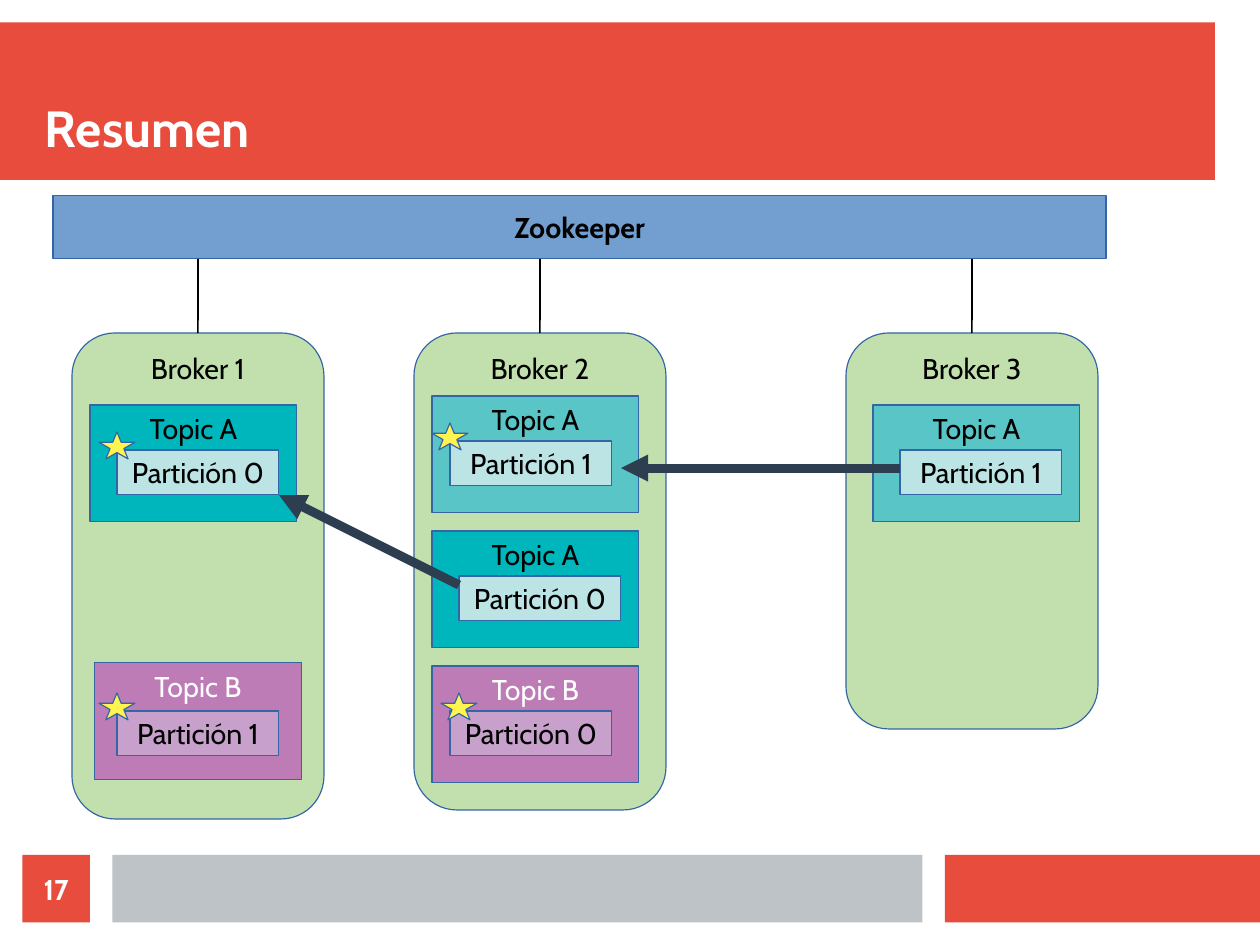
import pptx
import pptx.util
import pptx.dml.color
import pptx.enum.shapes
import pptx.enum.text
import pptx.oxml
import pptx.oxml.ns
from pptx.util import Cm

RGBColor = pptx.dml.color.RGBColor
Pt = pptx.util.Pt
KIND = pptx.enum.shapes.MSO_SHAPE
STRAIGHT = pptx.enum.shapes.MSO_CONNECTOR.STRAIGHT
ALIGN = pptx.enum.text.PP_ALIGN
ANCHOR = pptx.enum.text.MSO_ANCHOR

RED = RGBColor(0xE7, 0x4C, 0x3C)
GREY = RGBColor(0xBD, 0xC3, 0xC7)
BLUE = RGBColor(0x72, 0x9F, 0xCF)
OUTLINE = RGBColor(0x34, 0x65, 0xA4)
GREEN = RGBColor(0xC2, 0xE0, 0xAE)
TEAL = RGBColor(0x00, 0xB6, 0xBD)
LIGHT_TEAL = RGBColor(0x59, 0xC5, 0xC7)
PALE_TEAL = RGBColor(0xBC, 0xE4, 0xE5)
PURPLE = RGBColor(0xBD, 0x7C, 0xB5)
PALE_PURPLE = RGBColor(0xC7, 0xA0, 0xCB)
YELLOW = RGBColor(0xFF, 0xF4, 0x50)
NAVY = RGBColor(0x2C, 0x3E, 0x50)
BLACK = RGBColor(0, 0, 0)
WHITE = RGBColor(255, 255, 255)

deck = pptx.Presentation()
deck.slide_width, deck.slide_height = Cm(28), Cm(21)
page = deck.slides.add_slide(deck.slide_layouts[6])


def add_box(place, fill=None, text="", kind=KIND.RECTANGLE, outline=OUTLINE, color=BLACK,
            size=18, bold=False, align=ALIGN.CENTER, anchor=ANCHOR.MIDDLE, wrap=False, inset=None):
    """Add a shape, or a text box when there is no fill; place is left, top, width, height in cm."""
    place = [Cm(length) for length in place]
    if fill is None:
        box = page.shapes.add_textbox(*place)
    else:
        box = page.shapes.add_shape(kind, *place)
        box.shadow.inherit = False
        box.fill.solid()
        box.fill.fore_color.rgb = fill
        if outline is None:
            box.line.fill.background()
        else:
            box.line.color.rgb = outline
            box.line.width = Pt(0)
    if text:
        frame = box.text_frame
        frame_format = {"word_wrap": wrap, "vertical_anchor": anchor}
        if inset is not None:
            for side in ("left", "top", "right", "bottom"):
                frame_format[f"margin_{side}"] = Cm(inset)
        for name, value in frame_format.items():
            setattr(frame, name, value)
        para = frame.paragraphs[0]
        para.alignment = align
        span = para.add_run()
        span.text = text
        for name, value in {"name": "Cabin", "size": Pt(size), "bold": bold}.items():
            setattr(span.font, name, value)
        span.font.color.rgb = color
    return box


def add_line(start, end, color, width):
    line = page.shapes.add_connector(STRAIGHT, *[Cm(length) for length in (*start, *end)])
    line.line.color.rgb = color
    line.line.width = Pt(width)
    line._element.spPr.append(pptx.oxml.parse_xml(
        f"<a:effectLst {pptx.oxml.ns.nsdecls('a')}/>"))
    return line


# Header and footer
for place, fill in (((0, 0.5, 27, 3.5), RED), ((21, 19, 7, 1.5), RED), ((2.5, 19, 18, 1.5), GREY)):
    add_box(place, fill, outline=None)
add_box((1, 1, 26, 2.5), text="Resumen", color=WHITE, size=32, bold=True,
        align=ALIGN.LEFT, anchor=ANCHOR.BOTTOM, wrap=True, inset=0)
add_box((0.5, 19, 1.5, 1.5), RED, "17", outline=None, color=WHITE, bold=True, wrap=True, inset=0)

# Zookeeper and its brokers
add_box((1.18, 4.35, 23.4, 1.4), BLUE, "Zookeeper", bold=True)
broker_top, broker_width = 7.4, 5.6
for number, (left, height) in enumerate(((1.6, 10.8), (9.2, 10.6), (18.8, 8.8)), start=1):
    broker = add_box((left, broker_top, broker_width, height), GREEN, f"Broker {number}",
                     kind=KIND.ROUNDED_RECTANGLE, anchor=ANCHOR.TOP)
    broker.adjustments[0] = 0.17
    middle = left + broker_width / 2
    link = add_line((middle, 5.75), (middle, broker_top), BLACK, 1)
    link.end_connect(broker, 0)

# Topics: name, corner, fill, then partition number and corner
topics = (
    ("A", (2, 9), TEAL, 0, (2.6, 10)),
    ("B", (2.1, 14.73), PURPLE, 1, (2.6, 15.8)),
    ("A", (9.6, 8.8), LIGHT_TEAL, 1, (10, 9.8)),
    ("A", (9.6, 11.8), TEAL, 0, (10.2, 12.8)),
    ("B", (9.6, 14.8), PURPLE, 0, (10, 15.8)),
    ("A", (19.4, 9), LIGHT_TEAL, 1, (20, 10)),
)
partition_fills = {"A": PALE_TEAL, "B": PALE_PURPLE}
topic_colors = {"A": BLACK, "B": WHITE}
for topic, corner, fill, partition, partition_corner in topics:
    add_box((*corner, 4.6, 2.6), fill, f"Topic {topic}",
            color=topic_colors[topic], anchor=ANCHOR.TOP)
    add_box((*partition_corner, 3.6, 1), partition_fills[topic], f"Partición {partition}")

# Replicas point to the leaders, which carry a star
for start, end in (((20, 10.4), (13.8, 10.4)), ((10.2, 13), (6.2, 11))):
    arrow = add_line(start, end, NAVY, 5.67)
    arrow.line._get_or_add_ln().append(pptx.oxml.parse_xml(
        f"<a:tailEnd {pptx.oxml.ns.nsdecls('a')} type='triangle'/>"))
for corner in ((2.2, 9.6), (2.2, 15.4), (9.6, 9.4), (9.8, 15.4)):
    add_box((*corner, 0.8, 0.6), YELLOW, kind=KIND.STAR_5_POINT)

deck.save("out.pptx")
